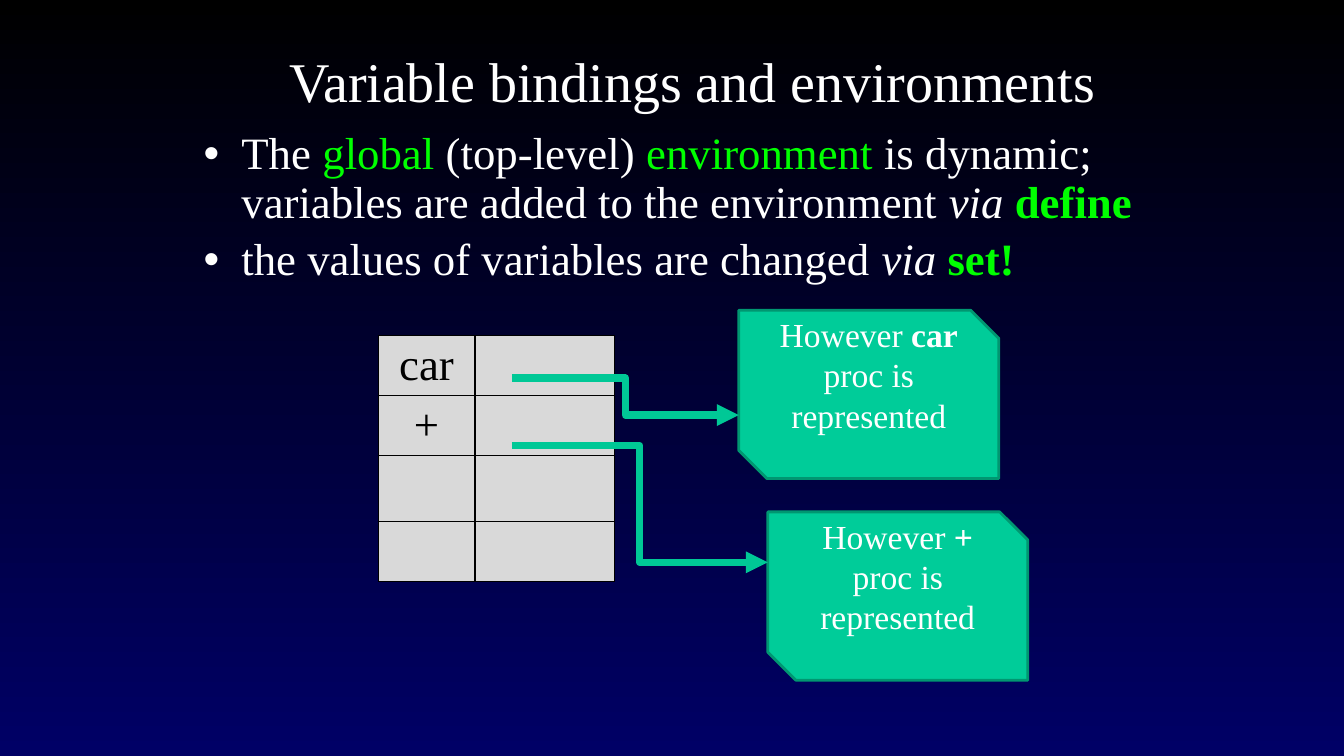
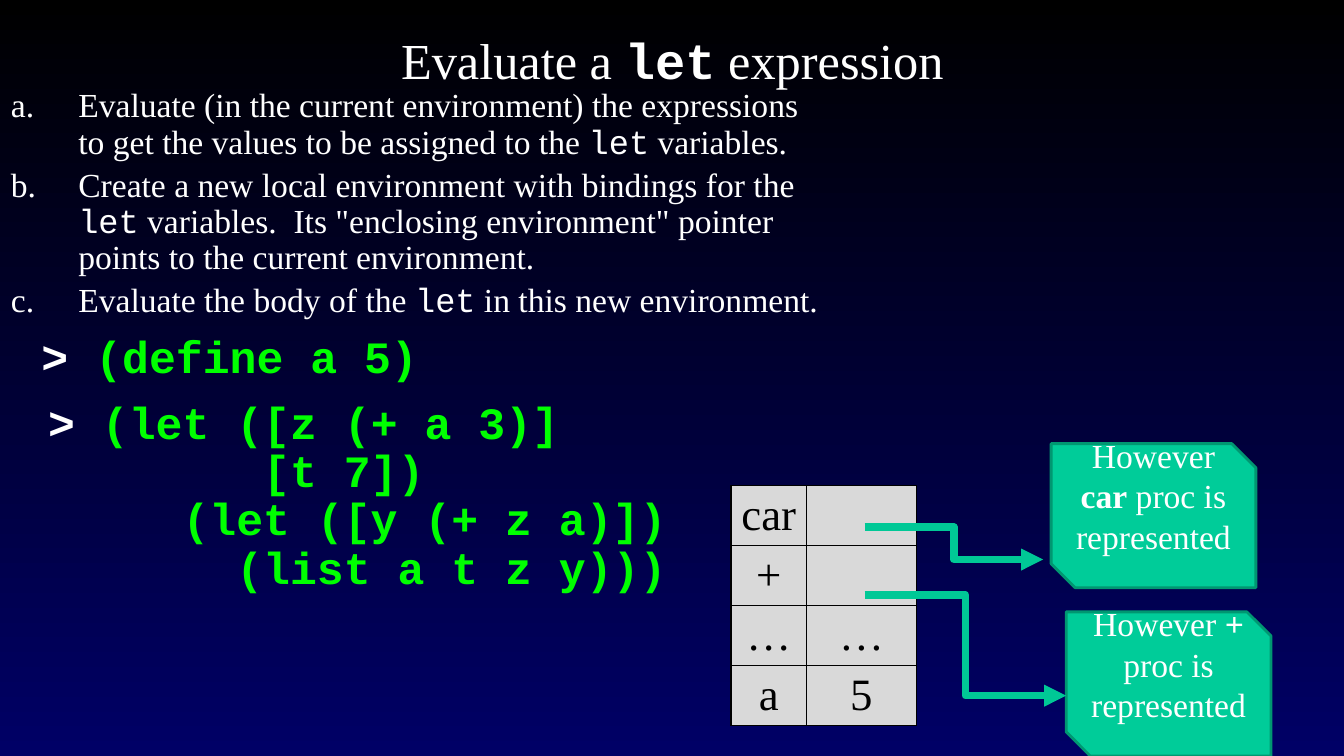
from dataclasses import dataclass, field
from typing import NamedTuple

from lxml.etree import SubElement
from pptx import Presentation
from pptx.dml.color import RGBColor
from pptx.enum.shapes import MSO_CONNECTOR as Link, MSO_SHAPE as Preset
from pptx.enum.text import MSO_ANCHOR as Anchor, MSO_AUTO_SIZE as AutoSize, PP_ALIGN as Align
from pptx.oxml.ns import qn
from pptx.util import Cm, Pt


@dataclass(frozen=True)
class Theme:
    night: RGBColor = RGBColor(0x00, 0x00, 0x00)
    navy: RGBColor = RGBColor(0x00, 0x00, 0x66)
    white: RGBColor = RGBColor(0xFF, 0xFF, 0xFF)
    lime: RGBColor = RGBColor(0x00, 0xFF, 0x00)
    cell: RGBColor = RGBColor(0xD9, 0xD9, 0xD9)
    callout: RGBColor = RGBColor(0x00, 0xCC, 0x99)
    callout_edge: RGBColor = RGBColor(0x00, 0x97, 0x71)
    arrow: RGBColor = RGBColor(0x00, 0xC8, 0x96)
    serif: str = "Times New Roman"
    mono: str = "Courier New"
    large: int = 32
    small: int = 24


THEME = Theme()
STYLES = {
    "plain": {},
    "key": {"color": THEME.lime},
    "italic": {"italic": True},
    "strong": {"bold": True},
    "keyword": {"color": THEME.lime, "bold": True},
    "mono": {"name": THEME.mono},
    "prompt": {"name": THEME.mono, "bold": True},
    "code": {"name": THEME.mono, "bold": True, "color": THEME.lime},
    "cell": {"color": THEME.night},
}


class Run(NamedTuple):
    text: str
    style: str = "plain"


class Box(NamedTuple):
    left: float
    top: float
    width: float
    height: float


class Arrow(NamedTuple):
    x1: float
    y1: float
    x2: float
    y2: float


@dataclass
class Item:
    runs: list[Run]
    size: int
    bullet: tuple[str, dict[str, str]]
    margin: float
    indent: float = 0
    before: float = 0
    after: float = 0


@dataclass
class Callout:
    box: Box
    runs: list[Run]


@dataclass
class Environment:
    left: float
    top: float
    columns: list[float]
    rows: list[float]
    bindings: list[tuple[str, str]]


@dataclass
class Page:
    title: list[Run]
    title_size: int
    title_box: Box
    items: list[Item]
    body_box: Box
    environment: Environment
    callouts: list[Callout] = field(default_factory=list)
    arrows: list[Arrow] = field(default_factory=list)


DOT = ("a:buChar", {"char": "•"})
LETTER = ("a:buAutoNum", {"type": "alphaLcPeriod"})
NO_BULLET = ("a:buNone", {})
CAR_TEXT = [Run("However "), Run("car", "strong"), Run(" proc is represented")]
PLUS_TEXT = [Run("However "), Run("+ ", "strong"), Run("proc is represented")]


def dotted(runs: list[Run], before: float = 6.4) -> Item:
    return Item(runs, THEME.large, DOT, 0.95, -0.95, before)


def lettered(runs: list[Run], before: float = 4.8) -> Item:
    return Item(runs, THEME.small, LETTER, 2.79, -1.7, before)


def code(runs: list[Run], margin: float = 2.03, before: float = 0, after: float = 0) -> Item:
    return Item(runs, THEME.large, NO_BULLET, margin, 0, before, after)


PAGES = [
    Page(
        title=[Run("Variable bindings and environments")],
        title_size=40,
        title_box=Box(5.28, 0.84, 24.33, 2.34),
        items=[
            dotted([
                Run("The "), Run("global", "key"), Run(" (top-level) "), Run("environment", "key"),
                Run(" is dynamic; variables are added to the environment "),
                Run("via ", "italic"), Run("define", "keyword"),
            ], before=0),
            dotted([
                Run("the values of variables are changed "),
                Run("via ", "italic"), Run("set!", "keyword"),
            ]),
        ],
        body_box=Box(4.88, 3.18, 24.77, 13.77),
        environment=Environment(
            9.53, 8.46, [2.44, 3.51], [1.51, 1.51, 1.66, 1.51],
            [("car", ""), ("+", ""), ("", ""), ("", "")],
        ),
        callouts=[
            Callout(Box(18.62, 7.82, 6.55, 4.24), CAR_TEXT),
            Callout(Box(19.35, 12.9, 6.55, 4.24), PLUS_TEXT),
        ],
        arrows=[Arrow(12.9, 9.53, 18.62, 10.46), Arrow(12.9, 11.23, 19.35, 14.17)],
    ),
    Page(
        title=[Run("Evaluate a "), Run("let", "prompt"), Run(" expression")],
        title_size=36,
        title_box=Box(6.15, 0.64, 21.59, 1.7),
        items=[
            lettered([
                Run("Evaluate (in the current environment) the expressions "
                    "to get the values to be assigned to the "),
                Run("let", "mono"), Run(" variables."),
            ], before=0),
            lettered([
                Run("Create a new local environment with bindings for the "), Run("let", "mono"),
                Run(" variables.  Its \"enclosing environment\" pointer "
                    "points to the current environment."),
            ]),
            lettered([
                Run("Evaluate the body of the "), Run("let", "mono"),
                Run(" in this new environment."),
            ]),
            code([Run("> ", "prompt"), Run("(define a 5)", "code")], 1.86, before=11, after=12),
            code([Run(">", "prompt"), Run(" (let ([z (+ a 3)]", "code")]),
            code([Run("        [t 7])", "code")]),
            code([Run("     (let ([y (+ z a)])", "code")]),
            code([Run("       (list a t z y)))", "code")]),
        ],
        body_box=Box(-1.07, 2.11, 22.02, 16.94),
        environment=Environment(
            18.42, 12.24, [1.91, 2.76], [1.51] * 4,
            [("car", ""), ("+", ""), ("…", "…"), ("a", "5")],
        ),
        callouts=[
            Callout(Box(26.49, 11.18, 5.16, 3.63), CAR_TEXT),
            Callout(Box(26.87, 15.42, 5.16, 3.63), PLUS_TEXT),
        ],
        arrows=[Arrow(21.79, 13.28, 26.29, 14.1), Arrow(21.79, 14.99, 26.87, 17.53)],
    ),
]


def write(paragraph, runs: list[Run], size: int) -> None:
    for text, style in runs:
        run = paragraph.add_run()
        run.text = text
        look = {"name": THEME.serif, "size": Pt(size), "bold": False,
                "color": THEME.white} | STYLES[style]
        run.font.color.rgb = look.pop("color")
        for attribute, value in look.items():
            setattr(run.font, attribute, value)


def place(placeholder, box: Box, anchor: Anchor):
    for attribute, value in box._asdict().items():
        setattr(placeholder, attribute, Cm(value))
    frame = placeholder.text_frame
    settings = {"word_wrap": True, "auto_size": AutoSize.NONE, "vertical_anchor": anchor}
    for attribute, value in settings.items():
        setattr(frame, attribute, value)
    return frame


def add_title(slide, page: Page) -> None:
    heading = place(slide.shapes.title, page.title_box, Anchor.MIDDLE).paragraphs[0]
    heading.alignment = Align.CENTER
    write(heading, page.title, page.title_size)


def add_items(slide, page: Page) -> None:
    frame = place(slide.placeholders[1], page.body_box, Anchor.TOP)
    for index, item in enumerate(page.items):
        paragraph = frame.add_paragraph() if index else frame.paragraphs[0]
        spacing = {"line_spacing": 0.9, "space_before": Pt(item.before),
                   "space_after": Pt(item.after), "alignment": Align.LEFT}
        for attribute, value in spacing.items():
            setattr(paragraph, attribute, value)
        properties = paragraph._p.get_or_add_pPr()
        properties.set("marL", str(Cm(item.margin)))
        properties.set("indent", str(Cm(item.indent)))
        tag, values = item.bullet
        SubElement(properties, qn(tag), values)
        write(paragraph, item.runs, item.size)


def add_borders(cell) -> None:
    properties = cell._tc.get_or_add_tcPr()
    for position, side in enumerate(("a:lnL", "a:lnR", "a:lnT", "a:lnB")):
        border = SubElement(properties, qn(side), {"w": str(Pt(1))})
        fill = SubElement(border, qn("a:solidFill"))
        SubElement(fill, qn("a:srgbClr"), {"val": str(THEME.night)})
        properties.insert(position, border)


def add_environment(slide, env: Environment) -> None:
    table = slide.shapes.add_table(
        len(env.rows), len(env.columns), Cm(env.left), Cm(env.top),
        Cm(sum(env.columns)), Cm(sum(env.rows))).table
    table.first_row = table.horz_banding = False
    for column, width in zip(table.columns, env.columns):
        column.width = Cm(width)
    for row, height, binding in zip(table.rows, env.rows, env.bindings):
        row.height = Cm(height)
        for cell, text in zip(row.cells, binding):
            cell.fill.solid()
            cell.fill.fore_color.rgb = THEME.cell
            add_borders(cell)
            cell.margin_top = cell.margin_bottom = Cm(0.08)
            cell.vertical_anchor = Anchor.MIDDLE
            if text:
                paragraph = cell.text_frame.paragraphs[0]
                paragraph.alignment = Align.CENTER
                write(paragraph, [Run(text, "cell")], THEME.large)


def add_callout(slide, callout: Callout) -> None:
    note = slide.shapes.add_shape(Preset.SNIP_2_DIAG_RECTANGLE, *map(Cm, callout.box))
    note.shadow.inherit = False
    note.fill.solid()
    note.fill.fore_color.rgb = THEME.callout
    note.line.color.rgb = THEME.callout_edge
    note.line.width = Pt(2)
    frame = note.text_frame
    frame.word_wrap = True
    frame.vertical_anchor = Anchor.MIDDLE
    frame.margin_bottom = Cm(1.14)
    paragraph = frame.paragraphs[0]
    paragraph.alignment = Align.CENTER
    write(paragraph, callout.runs, THEME.small)


def add_arrow(slide, arrow: Arrow) -> None:
    pointer = slide.shapes.add_connector(Link.ELBOW, *map(Cm, arrow))
    pointer.line.color.rgb = THEME.arrow
    pointer.line.width = Pt(5.25)
    SubElement(pointer.line._get_or_add_ln(), qn("a:tailEnd"), {"type": "triangle"})
    SubElement(pointer._element.spPr, qn("a:effectLst"))


def paint_background(master) -> None:
    fill = master.background.fill
    fill.gradient()
    fill.gradient_angle = 270
    for stop, color in zip(fill.gradient_stops, (THEME.night, THEME.navy)):
        stop.color.rgb = color


def main() -> None:
    deck = Presentation()
    deck.slide_width, deck.slide_height = Cm(33.87), Cm(19.05)
    paint_background(deck.slide_master)
    for page in PAGES:
        slide = deck.slides.add_slide(deck.slide_layouts[1])
        add_title(slide, page)
        add_items(slide, page)
        add_environment(slide, page.environment)
        for callout in page.callouts:
            add_callout(slide, callout)
        for arrow in page.arrows:
            add_arrow(slide, arrow)
    deck.save("out.pptx")


if __name__ == "__main__":
    main()
